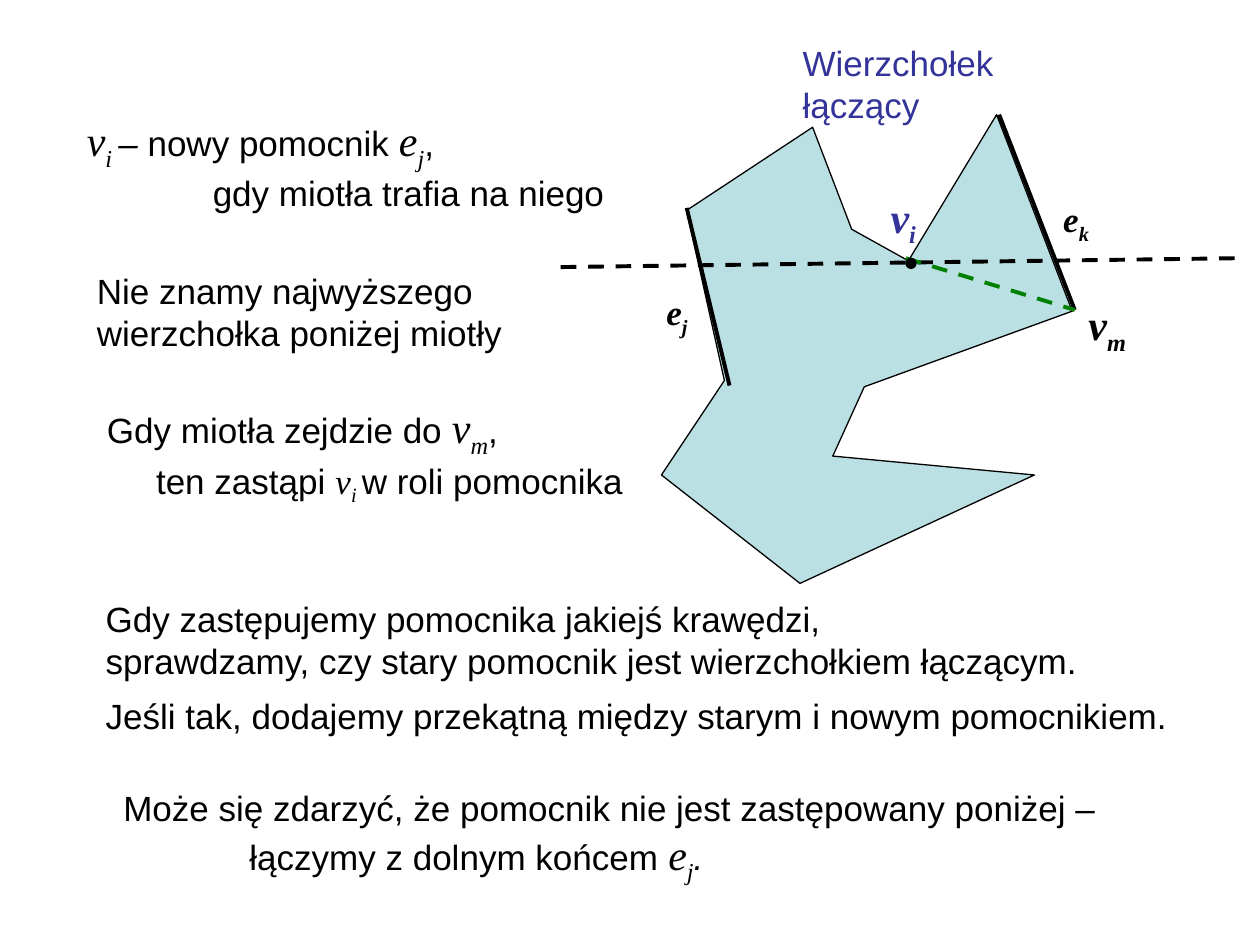
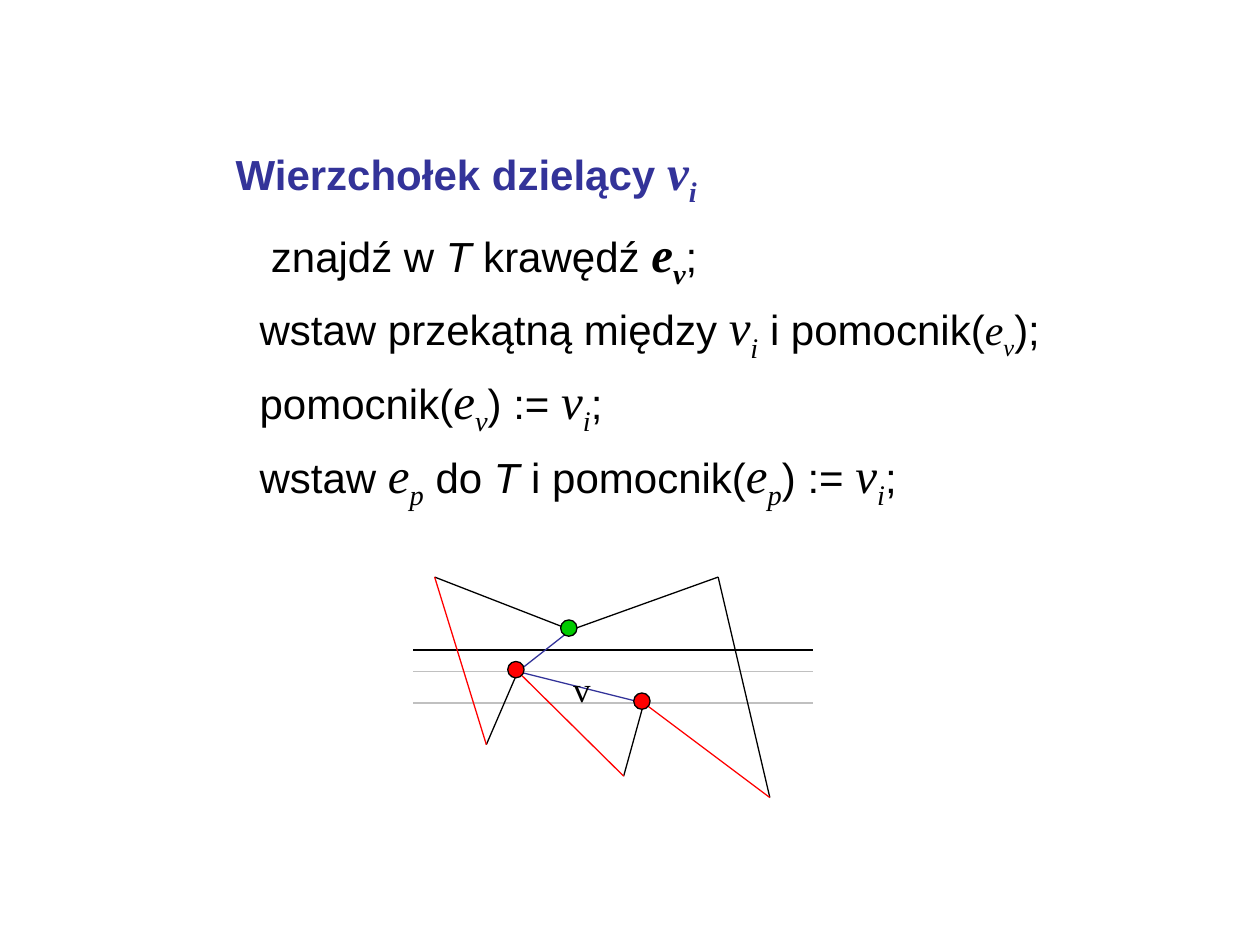
from dataclasses import dataclass
from pptx import Presentation
from pptx.dml.color import RGBColor as Rgb
from pptx.enum.dml import MSO_LINE_DASH_STYLE as Dash
from pptx.enum.shapes import MSO_CONNECTOR as Conn, MSO_SHAPE as Geo
from pptx.enum.text import MSO_ANCHOR as Anchor, MSO_AUTO_SIZE as Fit, PP_ALIGN as Align
from pptx.oxml.ns import qn
from pptx.util import Inches, Pt


@dataclass(frozen=True)
class Theme:
    sans: str = "Arial"
    serif: str = "Times New Roman"
    black: str = "000000"
    blue: str = "333399"
    teal: str = "BBE0E3"
    green: str = "008000"
    lime: str = "00CC00"
    red: str = "FF0000"
    pale: str = "C0C0C0"
    small: int = 20
    big: int = 24
    huge: int = 28
    thin: float = 0.75
    thick: float = 2.25


T = Theme()


# Text: $v_i$ is a symbol with its index, $~v_i$ keeps the size of the line,
# $*v_i$ is bold, and $T$ without an index is plain italic
def add_run(para, text, size, font, color, bold, italic=False, sub=False):
    run = para.add_run()
    run.text = text
    face = run.font
    face.size, face.name, face.bold, face.italic = Pt(size), font, bold, italic
    face.color.rgb = Rgb.from_string(color)
    if sub:
        run._r.get_or_add_rPr().set("baseline", "-25000")


def add_math(para, code, size, math, font, color, bold):
    if "_" not in code:
        add_run(para, code, size, font, color, bold, True)
        return
    size = size if code[0] == "~" else math
    bold = bold or code[0] == "*"
    base, sub = code.lstrip("~*").split("_")
    add_run(para, base, size, T.serif, color, bold, True)
    add_run(para, sub, size, T.serif, color, bold, True, True)


def write(shape, lines, size=T.small, math=T.big, font=T.sans, color=T.black,
          bold=False, wrap=False, indents=(), gaps=(), spacing=None):
    frame = shape.text_frame
    frame.word_wrap, frame.auto_size = wrap, Fit.NONE
    frame.vertical_anchor = Anchor.TOP
    for n, line in enumerate(lines):
        para = frame.paragraphs[0] if n == 0 else frame.add_paragraph()
        para.alignment = Align.LEFT
        para.space_before = Pt(gaps[n] if gaps else 0)
        if spacing:
            para.line_spacing = spacing
        props = para._p.get_or_add_pPr()
        props.set("marL", str(Inches(indents[n] if indents else 0)))
        props.set("indent", "0")
        if shape.is_placeholder:
            props.append(props.makeelement(qn("a:buNone"), {}))
        for k, part in enumerate(line.split("$")):
            if k % 2:
                add_math(para, part, size, math, font, color, bold)
            elif part:
                add_run(para, part, size, font, color, bold)


def place(shape, box):
    shape.left, shape.top, shape.width, shape.height = map(Inches, box)
    return shape


def add_text(slide, box, *lines, **style):
    write(slide.shapes.add_textbox(*map(Inches, box)), lines, **style)


# Shapes
def shift(box, point):
    return box[0] + point[0], box[1] + point[1]


def paint(shape, fill):
    shape.shadow.inherit = False
    shape.fill.solid()
    shape.fill.fore_color.rgb = Rgb.from_string(fill)
    shape.line.color.rgb = Rgb.from_string(T.black)
    shape.line.width = Pt(T.thin)


def add_line(slide, box, start, end, color=T.black, width=T.thin, dash=False):
    ends = map(Inches, shift(box, start) + shift(box, end))
    line = slide.shapes.add_connector(Conn.STRAIGHT, *ends)
    line.line.color.rgb = Rgb.from_string(color)
    line.line.width = Pt(width)
    if dash:
        line.line.dash_style = Dash.DASH
    props = line._element.spPr
    props.append(props.makeelement(qn("a:effectLst"), {}))


def add_dot(slide, box, corner, size, fill):
    spot = shift(box, corner) + (size, size)
    paint(slide.shapes.add_shape(Geo.OVAL, *map(Inches, spot)), fill)


# Polygon with the sweep line, its edges and helper vertices
def draw_merge(slide, box):
    outline = [(2, 0.1), (1, 0.76), (1.3, 2.11), (0.8, 2.86), (1.9, 3.72), (3.76, 2.86),
               (2.16, 2.71), (2.41, 2.16), (4.06, 1.56), (3.46, 0), (2.76, 1.16),
               (2.31, 0.91)]
    points = [tuple(map(Inches, shift(box, p))) for p in outline]
    build = slide.shapes.build_freeform(*points[0], scale=1.0)
    build.add_line_segments(points[1:], close=True)
    paint(build.convert_to_shape(), T.teal)

    helper, low = (2.74, 1.14), (4.08, 1.55)
    for start, end, color, dash in [
            ((0, 1.21), (5.35, 1.14), T.black, True),
            ((1, 0.74), (1.34, 2.15), T.black, False),
            ((3.48, 0), low, T.black, False),
            (helper, low, T.green, True)]:
        add_line(slide, box, start, end, color, T.thick, dash)
    add_dot(slide, box, helper, 0.08, T.black)

    for name, corner, size, color in [
            ("e_j", (0.74, 1.35), (0.37, 0.48), T.black),
            ("v_i", (2.52, 0.56), (0.4, 0.56), T.blue),
            ("v_m", (4.09, 1.41), (0.5, 0.56), T.black),
            ("e_k", (3.89, 0.61), (0.4, 0.48), T.black)]:
        math = T.big if name[0] == "v" else T.small
        add_text(slide, shift(box, corner) + size, f"${name}$",
                 math=math, color=color, bold=True)


# Split vertices joined by diagonals, with three sweep lines
def draw_split(slide, box):
    left, right, foot = (0.17, 0), (2.42, 0), (2.83, 1.75)
    top, mid, last = (1.25, 0.42), (0.83, 0.75), (1.83, 1)
    dip, pit = (0.58, 1.33), (1.67, 1.58)
    for y, color in [(0.58, T.black), (0.75, T.pale), (1, T.pale)]:
        add_line(slide, box, (0, y), (box[2], y), color)
    for color, edges in [
            (T.black, [(left, top), (top, right), (right, foot), (dip, mid), (pit, last)]),
            (T.blue, [(mid, top), (mid, last)]),
            (T.red, [(left, dip), (mid, pit), (last, foot)])]:
        for start, end in edges:
            add_line(slide, box, start, end, color)
    for (x, y), fill in [(top, T.lime), (mid, T.red), (last, T.red)]:
        add_dot(slide, box, (x - 0.08, y - 0.08), 0.13, fill)
    add_text(slide, shift(box, (1.17, 0.67)) + (0.34, 0.44), "v", font=T.serif)


# Slides
def merge_slide(deck):
    slide = deck.slides.add_slide(deck.slide_layouts[5])
    title = place(slide.shapes.title, (6.27, 0.28, 2.72, 0.44))
    write(title, ["Wierzchołek łączący"], color=T.blue)
    draw_merge(slide, (4.45, 0.91, 5.35, 3.72))
    add_text(slide, (0.59, 0.86, 4.31, 0.89), "$v_i $$– $nowy pomocnik $e_j$,",
             "gdy miotła trafia na niego", indents=(0, 1))
    add_text(slide, (0.67, 2.09, 3.42, 0.77), "Nie znamy najwyższego",
             "wierzchołka poniżej miotły")
    add_text(slide, (0.75, 3.14, 4.32, 0.94), "Gdy miotła zejdzie do $v_m$,",
             "ten zastąpi $~v_i $w roli pomocnika", indents=(0, 0.39))
    add_text(slide, (0.74, 4.69, 8.71, 1.21),
             "Gdy zastępujemy pomocnika jakiejś krawędzi,",
             "sprawdzamy, czy stary pomocnik jest wierzchołkiem łączącym.",
             "Jeśli tak, dodajemy przekątną między starym i nowym pomocnikiem.",
             gaps=(0, 0, 7.5))
    add_text(slide, (0.88, 6.19, 7.99, 0.89),
             "Może się zdarzyć, że pomocnik nie jest zastępowany poniżej –",
             "łączymy z dolnym końcem $e_j$$.$", indents=(0, 1))


def split_slide(deck):
    slide = deck.slides.add_slide(deck.slide_layouts[1])
    draw_split(slide, (3.28, 4.58, 3.17, 1.75))
    style = dict(size=T.big, math=T.huge, wrap=True)
    title = place(slide.shapes.title, (1.77, 1.07, 7.17, 0.6))
    write(title, ["Wierzchołek dzielący $v_i$"], color=T.blue, bold=True, **style)
    steps = place(slide.placeholders[1], (1.77, 1.67, 7.17, 2.37))
    write(steps, ["znajdź w $T$ krawędź $*e_v$;",
                  "wstaw przekątną między $v_i$ i pomocnik($~e_v$);",
                  "pomocnik($e_v$) := $v_i$;",
                  "wstaw $e_p$ do $T$ i pomocnik($e_p$) := $v_i$;"],
          indents=(0.28, 0.19, 0.19, 0.19), spacing=1.1, **style)


def main():
    deck = Presentation()
    deck.slide_width, deck.slide_height = Inches(10), Inches(7.5)
    merge_slide(deck)
    split_slide(deck)
    deck.save("out.pptx")


if __name__ == "__main__":
    main()
